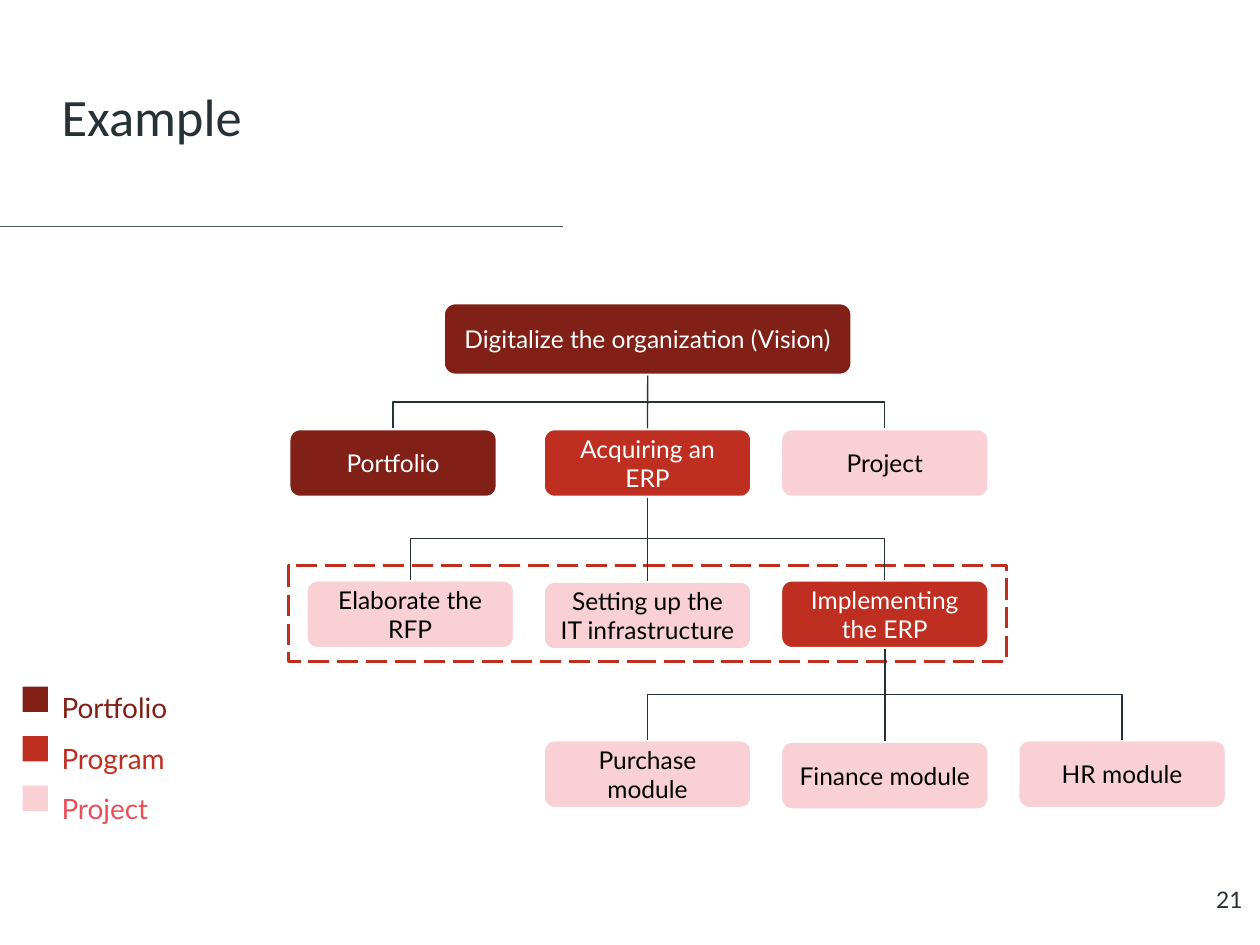
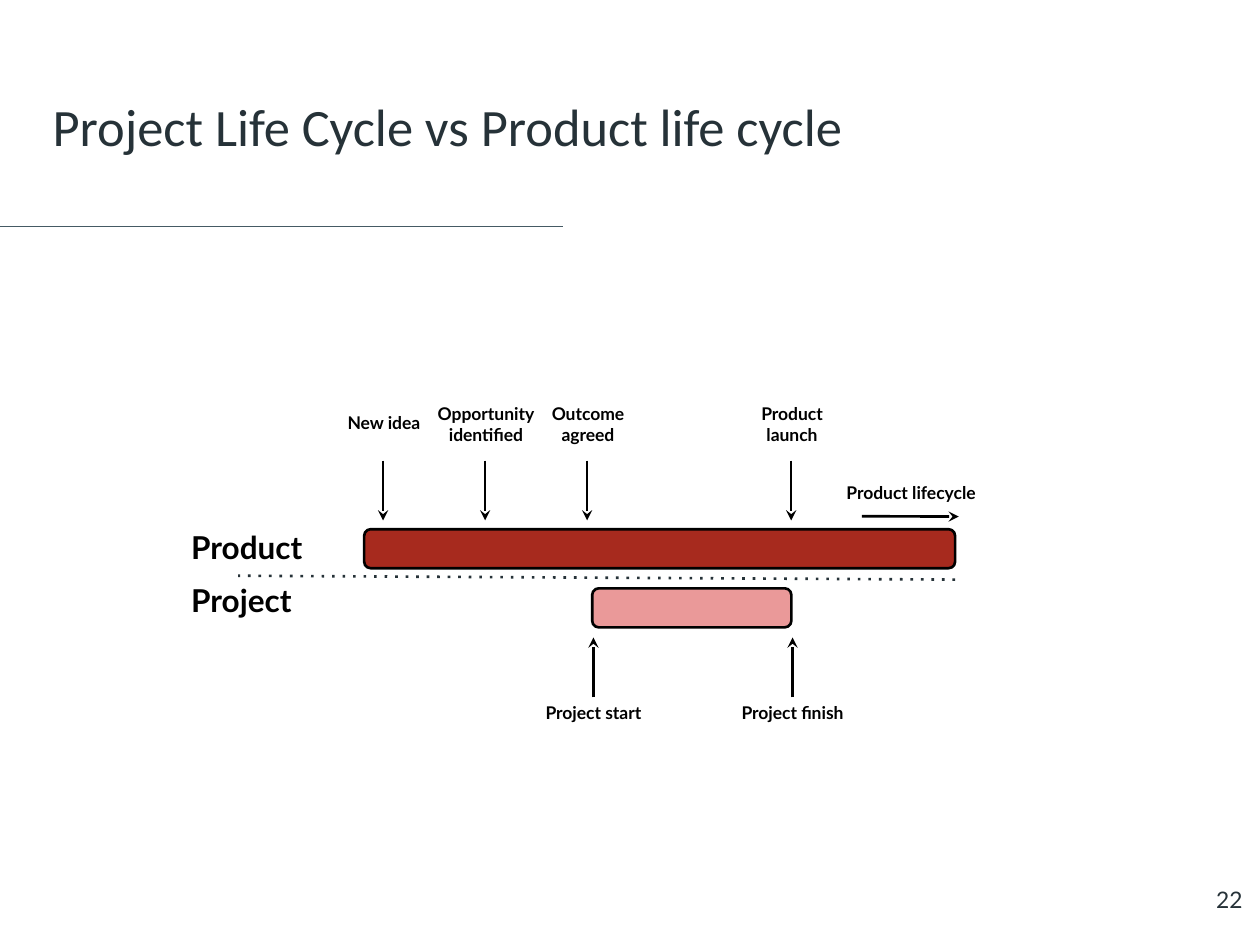
from lxml.etree import SubElement
from pptx import Presentation
from pptx.dml.color import RGBColor
from pptx.enum.shapes import MSO_CONNECTOR, MSO_SHAPE
from pptx.enum.text import MSO_ANCHOR, PP_ALIGN
from pptx.oxml.ns import qn
from pptx.util import Pt

# Shared style
INK = "263238"
RULE = "455A64"
BLACK = "000000"
WHITE = "FFFFFF"
PORTFOLIO = "802017"
PROGRAM = "BE2F22"
PROJECT = "E8505B"
PROJECT_OPACITY = 26
BODY_FONT = "Lato"
TITLE_FONT = "Calibri"

# Tree grid on the example slide
NODE_WIDTH, NODE_HEIGHT = 119.5, 39.6
COLUMN_LEFT, COLUMN_PITCH = 174.7, 135.6

# Time axis on the life cycle slide
FIRST_MILESTONE, MILESTONE_PITCH = 218.9, 58.3
LABEL_WIDTH = 129.6


def rgb(hex_colour):
    return RGBColor.from_string(hex_colour)


def write_text(frame, text, size=14, colour=BLACK, font=BODY_FONT, bold=False,
               align=PP_ALIGN.LEFT, anchor=MSO_ANCHOR.TOP, inset=7.2, spacing=None):
    """Fill a frame, one paragraph for each line of text."""
    frame.word_wrap = True
    frame.vertical_anchor = anchor
    frame.margin_left = frame.margin_right = Pt(7.2)
    frame.margin_top = frame.margin_bottom = Pt(inset)
    frame.text = text
    for paragraph in frame.paragraphs:
        paragraph.alignment = align
        if spacing:
            paragraph.line_spacing = spacing
        for run in paragraph.runs:
            run.font.size = Pt(size)
            run.font.name = font
            run.font.bold = bold
            run.font.color.rgb = rgb(colour)


def add_text(slide, text, left, top, width, height, **text_format):
    frame = slide.shapes.add_textbox(Pt(left), Pt(top), Pt(width), Pt(height)).text_frame
    write_text(frame, text, **text_format)
    return frame


def style_line(line, colour, width, dash=None, arrow=None):
    line.color.rgb = rgb(colour)
    line.width = Pt(width)
    outline = line._get_or_add_ln()
    if dash:
        SubElement(outline, qn("a:prstDash"), val=dash)
    if arrow:
        SubElement(outline, qn("a:tailEnd"), type=arrow)


def add_block(slide, left, top, width, height, fill=None, line=None, width_pt=1.5,
              dash=None, preset=MSO_SHAPE.ROUNDED_RECTANGLE):
    """Add a shape; project-coloured blocks are see-through."""
    block = slide.shapes.add_shape(preset, Pt(left), Pt(top), Pt(width), Pt(height))
    block.shadow.inherit = False
    if fill:
        block.fill.solid()
        block.fill.fore_color.rgb = rgb(fill)
        if fill == PROJECT:
            tint = block._element.spPr.find(qn("a:solidFill"))[0]
            SubElement(tint, qn("a:alpha"), val=str(PROJECT_OPACITY * 1000))
    else:
        block.fill.background()
    if line:
        style_line(block.line, line, width_pt, dash)
    else:
        block.line.fill.background()
    return block


def add_line(slide, start, end, colour=BLACK, width=1.5, dash=None, arrow=None,
             kind=MSO_CONNECTOR.STRAIGHT):
    connector = slide.shapes.add_connector(kind, *(Pt(length) for length in (*start, *end)))
    style_line(connector.line, colour, width, dash, arrow)
    SubElement(connector._element.spPr, qn("a:effectLst"))
    return connector


def add_arrow(slide, start, end):
    add_line(slide, start, end, arrow="stealth")


def add_node(slide, text, colour, top, column=0, left=None, width=NODE_WIDTH,
             height=NODE_HEIGHT):
    if left is None:
        left = COLUMN_LEFT + column * COLUMN_PITCH
    node = add_block(slide, left, top, width, height, colour, WHITE, 2.25)
    write_text(node.text_frame, text, colour=BLACK if colour == PROJECT else WHITE,
               align=PP_ALIGN.CENTER, anchor=MSO_ANCHOR.MIDDLE, inset=3.6)
    return node


def link_nodes(slide, parent, child):
    """Join bottom of parent to top of child, with a vertical elbow if they are offset."""
    start_x, start_y = parent.left + parent.width // 2, parent.top + parent.height
    end_x, end_y = child.left + child.width // 2, child.top
    across, down = end_x - start_x, end_y - start_y
    straight = abs(across) < Pt(1)
    connector = add_line(slide, (0, 0), (0, 0), INK, 0.75,
                         kind=MSO_CONNECTOR.STRAIGHT if straight else MSO_CONNECTOR.ELBOW)
    connector.begin_connect(parent, 2)
    connector.end_connect(child, 0)
    if straight:
        return
    # The elbow runs sideways by default, so turn it a quarter
    frame = connector._element.spPr.xfrm
    for flip in ("flipH", "flipV"):
        frame.attrib.pop(flip, None)
    connector.width, connector.height = down, abs(across)
    connector.left = (start_x + end_x - down) // 2
    connector.top = (start_y + end_y - abs(across)) // 2
    if across > 0:
        frame.set("flipH", "1")
    frame.set("rot", str((270 if across > 0 else 90) * 60000))


def add_base(prs, title, number, left, top, width):
    """Blank slide with title, rule and page number."""
    slide = prs.slides.add_slide(prs.slide_layouts[6])
    add_line(slide, (0, 129.6), (321.8, 129.6), RULE, 0.75)
    add_text(slide, title, left, top, width, 59.8, size=30, colour=INK,
             font=TITLE_FONT, anchor=MSO_ANCHOR.BOTTOM)
    add_text(slide, str(number), 673.9, 499, 43.2, 41, size=13, colour=INK,
             align=PP_ALIGN.RIGHT)
    return slide


def build_example(prs):
    slide = add_base(prs, "Example", 21, 28.1, 31.7, 345)
    add_block(slide, 164.9, 323.3, 410.4, 54.7, line=PROGRAM, dash="lgDash",
              preset=MSO_SHAPE.RECTANGLE)

    # Tree nodes
    vision = add_node(slide, "Digitalize the organization (Vision)", PORTFOLIO, 172.8,
                      left=253.1, width=234, height=41.8)
    portfolio = add_node(slide, "Portfolio", PORTFOLIO, 244.8, left=164.9)
    acquiring = add_node(slide, "Acquiring an ERP", PROGRAM, 244.8, 1)
    project = add_node(slide, "Project", PROJECT, 244.8, 2)
    rfp = add_node(slide, "Elaborate the RFP", PROJECT, 331.2, 0)
    infrastructure = add_node(slide, "Setting up the IT infrastructure", PROJECT, 331.9, 1)
    implementing = add_node(slide, "Implementing the ERP", PROGRAM, 331.2, 2)
    purchase = add_node(slide, "Purchase module", PROJECT, 422.6, 1)
    finance = add_node(slide, "Finance module", PROJECT, 423.4, 2)
    hr = add_node(slide, "HR module", PROJECT, 422.6, 3)

    # Tree links
    branches = [
        (vision, (portfolio, acquiring, project)),
        (acquiring, (rfp, infrastructure, implementing)),
        (implementing, (purchase, finance, hr)),
    ]
    for parent, children in branches:
        for child in children:
            link_nodes(slide, parent, child)

    # Legend
    levels = {"Portfolio": PORTFOLIO, "Program": PROGRAM, "Project": PROJECT}
    legend = add_text(slide, "\n".join(levels), 28.1, 381.6, 122.4, 93.6, size=16,
                      inset=3.6, spacing=1.5)
    for row, (paragraph, colour) in enumerate(zip(legend.paragraphs, levels.values())):
        paragraph.runs[0].font.color.rgb = rgb(colour)
        add_block(slide, 13, 392.4 + row * 28.3, 14.4, 14.4, colour,
                  preset=MSO_SHAPE.RECTANGLE)


def add_label(slide, text, centre, top, height=26.6):
    add_text(slide, text, centre - LABEL_WIDTH / 2, top, LABEL_WIDTH, height, size=10,
             bold=True, align=PP_ALIGN.CENTER)


def build_life_cycles(prs):
    slide = add_base(prs, "Project Life Cycle vs Product life cycle", 22, 23, 37.4, 562.3)

    # Bars and their names
    add_block(slide, 208.1, 302.4, 337.7, 22.3, "A72A1E", BLACK)
    add_block(slide, 338.4, 336.2, 113.8, 22.3, "EA9999", BLACK)
    add_line(slide, (545.8, 331.2), (136.1, 329), INK, dash="dot")
    for name, top in (("Product", 294.5), ("Project", 324.7)):
        add_text(slide, name, 102.2, top, 105.8, 36, size=18, bold=True)

    # Product milestones
    milestones = [(0, "New idea"), (1, "Opportunity\nidentified"),
                  (2, "Outcome\nagreed"), (4, "Product\nlaunch")]
    for step, text in milestones:
        centre = FIRST_MILESTONE + step * MILESTONE_PITCH
        add_arrow(slide, (centre, 263.2), (centre, 297.4))
        if "\n" in text:
            add_label(slide, text, centre + 0.5, 223.2, 38.9)
        else:
            add_label(slide, text, centre + 0.5, 229.7)
    add_arrow(slide, (492.5, 295), (547.9, 295.2))
    add_label(slide, "Product lifecycle", 520.6, 269.3)

    # Project milestones
    for centre, text in ((339.1, "Project start"), (452.9, "Project finish")):
        add_arrow(slide, (centre, 398.5), (centre, 364.3))
        add_label(slide, text, centre, 395.3)


def main():
    prs = Presentation()
    prs.slide_width, prs.slide_height = Pt(720), Pt(540)
    build_example(prs)
    build_life_cycles(prs)
    prs.save("out.pptx")


if __name__ == "__main__":
    main()
